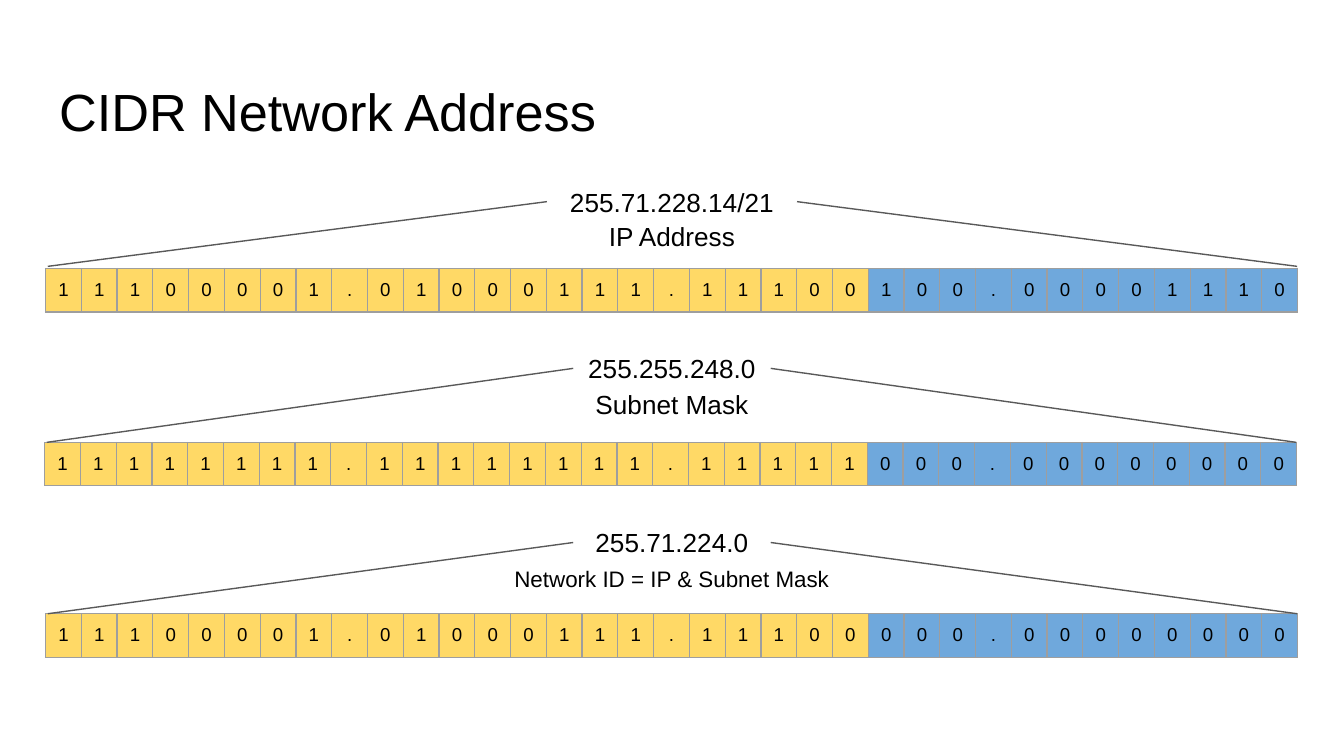
from lxml.etree import SubElement
from pptx import Presentation
from pptx.dml.color import RGBColor
from pptx.enum.shapes import MSO_CONNECTOR
from pptx.enum.text import MSO_ANCHOR, MSO_AUTO_SIZE, PP_ALIGN
from pptx.oxml import parse_xml
from pptx.oxml.ns import nsdecls, qn
from pptx.util import Pt

COLORS = {
    "text": "000000",
    "network": "FFD966",
    "host": "6FA8DC",
    "border": "9E9E9E",
    "line": "595959",
}
FONT = "Arial"
PREFIX = 21
ROW_HEIGHT = 23.3
LABEL_HEIGHT = 24.5
CAPTION_WIDTH = 211


def rgb(name):
    return RGBColor.from_string(COLORS[name])


def set_text(tf, text, size=14, align=PP_ALIGN.CENTER, color="text"):
    p = tf.paragraphs[0]
    p.alignment = align
    r = p.add_run()
    r.text = text
    r.font.size = Pt(size)
    r.font.name = FONT
    r.font.color.rgb = rgb(color)


def set_frame(tf, anchor):
    tf.word_wrap = True
    tf.auto_size = MSO_AUTO_SIZE.NONE
    tf.vertical_anchor = anchor
    tf.margin_left = tf.margin_right = tf.margin_top = tf.margin_bottom = Pt(7.2)


def add_title(s, x, y, w, h, text):
    sp = s.shapes.title
    sp.left, sp.top, sp.width, sp.height = Pt(x), Pt(y), Pt(w), Pt(h)
    set_frame(sp.text_frame, MSO_ANCHOR.TOP)
    set_text(sp.text_frame, text, size=28, align=PP_ALIGN.LEFT)


def add_label(s, center, y, w, text, size=14):
    sp = s.shapes.add_textbox(Pt(center - w / 2), Pt(y), Pt(w), Pt(LABEL_HEIGHT))
    set_frame(sp.text_frame, MSO_ANCHOR.MIDDLE)
    set_text(sp.text_frame, text, size=size)
    return sp


def add_borders(cell):
    tc_pr = cell._tc.get_or_add_tcPr()
    for i, side in enumerate(("lnL", "lnR", "lnT", "lnB")):
        tc_pr.insert(i, parse_xml(
            f'<a:{side} {nsdecls("a")} w="{Pt(0.75)}"><a:solidFill>'
            f'<a:srgbClr val="{COLORS["border"]}"/></a:solidFill></a:{side}>'))


def add_bit_row(s, x, y, w, bits):
    table = s.shapes.add_table(
        1, len(bits), Pt(x), Pt(y), Pt(w), Pt(ROW_HEIGHT)).table
    table.first_row = table.horz_banding = False
    bits_seen = 0
    for i, bit in enumerate(bits):
        table.columns[i].width = Pt(w / len(bits))
        bits_seen += bit != "."
        cell = table.cell(0, i)
        cell.fill.solid()
        cell.fill.fore_color.rgb = rgb("network" if bits_seen <= PREFIX else "host")
        cell.vertical_anchor = MSO_ANCHOR.MIDDLE
        cell.margin_left = cell.margin_right = 0
        cell.margin_top = cell.margin_bottom = 0
        set_text(cell.text_frame, bit, size=10)
        add_borders(cell)


def add_fan_line(s, label, side, x, y):
    line = s.shapes.add_connector(
        MSO_CONNECTOR.STRAIGHT, label.left, label.top, Pt(x), Pt(y))
    line.begin_connect(label, side)
    line.line.color.rgb = rgb("line")
    line.line.width = Pt(0.75)
    SubElement(line._element.spPr, qn("a:effectLst"))


def add_address_block(s, x, y, w, address, caption, bits, label_width=105.8,
                      caption_size=14, caption_gap=19.4, row_gap=51, lift=0):
    """Address and caption above a bit row, with lines fanning out to its corners."""
    center = 360
    row_top = y + row_gap
    add_bit_row(s, x, row_top, w, bits)
    label = add_label(s, center, y, label_width, address)
    add_label(s, center, y + caption_gap, CAPTION_WIDTH, caption, size=caption_size)
    add_fan_line(s, label, 1, x + 1.2, row_top - lift)
    add_fan_line(s, label, 3, x + w - 0.5, row_top - lift)


def main():
    prs = Presentation()
    prs.slide_width, prs.slide_height = Pt(720), Pt(405)
    s = prs.slides.add_slide(prs.slide_layouts[5])

    add_title(s, 24.5, 35.3, 671, 45.4, "CIDR Network Address")

    # IP address
    add_address_block(s, 24.4, 95.8, 671, "255.71.228.14/21", "IP Address",
                      "11100001.01000111.11100100.00001110", label_width=134,
                      caption_gap=18.5, row_gap=48.1, lift=1.2)
    # Subnet mask
    add_address_block(s, 23.9, 185.1, 671, "255.255.248.0", "Subnet Mask",
                      "11111111.11111111.11111000.00000000", row_gap=51.9)
    # Network ID
    add_address_block(s, 24.4, 278.4, 671, "255.71.224.0",
                      "Network ID = IP & Subnet Mask",
                      "11100001.01000111.11100000.00000000",
                      caption_size=12, row_gap=50.4)

    prs.save("out.pptx")


if __name__ == "__main__":
    main()
